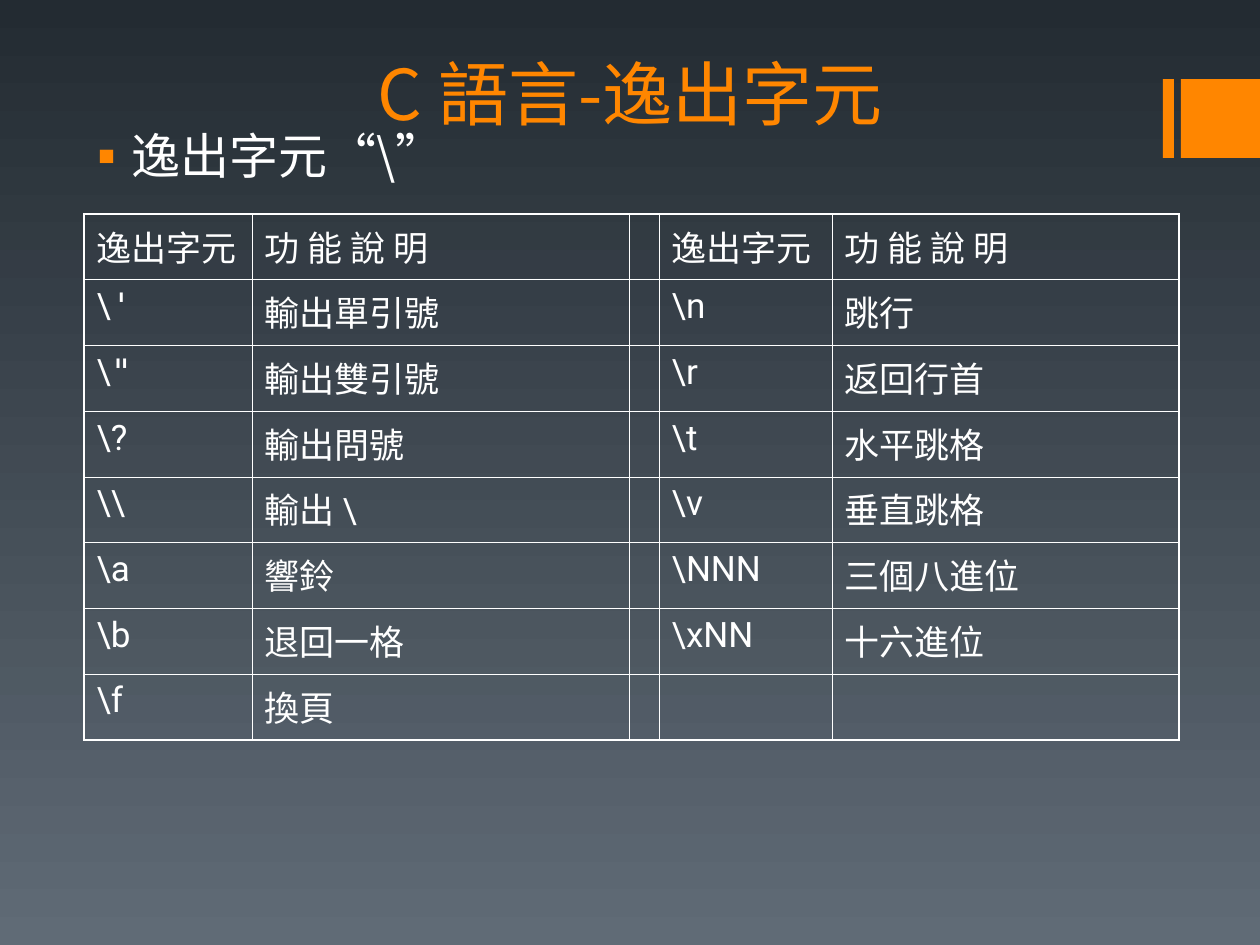
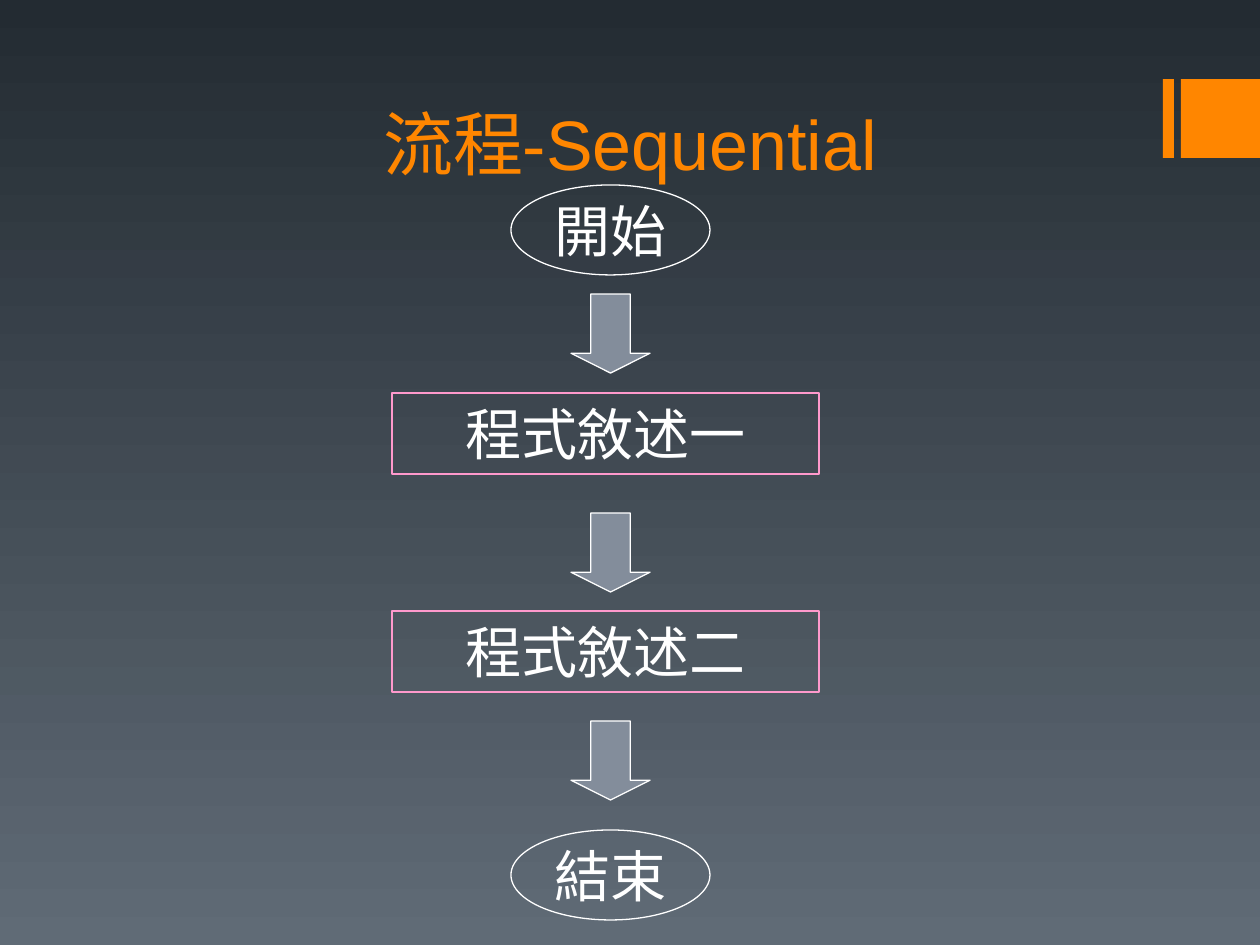
from lxml.etree import SubElement
from pptx import Presentation
from pptx.dml.color import RGBColor
from pptx.enum.shapes import MSO_SHAPE
from pptx.enum.text import MSO_ANCHOR, MSO_AUTO_SIZE, PP_ALIGN
from pptx.oxml.ns import qn
from pptx.util import Pt

THEME = {
    "accent": "FF8600", "text": "FFFFFF", "line": "FFFFFF",
    "arrow": "838D9B", "step_line": "FF99CC",
    "bg": ("232B32", "606B76"),
    "cjk": "Noto Sans CJK SC", "latin": "Roboto",
    "title_latin": "Arial", "mono": "DejaVu Sans Mono",
    "title": 40, "body": 28, "cell": 20, "flow": 32,
    "thin": 0.45, "outer": 1.08, "shape_line": 0.75,
}
BANDS = [(1163, 79, 11, 79), (1181, 79, 79, 79)]

ESCAPE_TITLE = "C 語言-逸出字元"
ESCAPE_BODY = "逸出字元“\\”"
HEADER = ["逸出字元", "功 能 說 明", "", "逸出字元", "功 能 說 明"]
ESCAPES = [
    ["\\'", "輸出單引號", "", "\\n", "跳行"],
    ["\\\"", "輸出雙引號", "", "\\r", "返回行首"],
    ["\\?", "輸出問號", "", "\\t", "水平跳格"],
    ["\\\\", "輸出 \\", "", "\\v", "垂直跳格"],
    ["\\a", "響鈴", "", "\\NNN", "三個八進位"],
    ["\\b", "退回一格", "", "\\xNN", "十六進位"],
    ["\\f", "換頁", "", "", ""],
]
COLUMNS = [168, 377, 30, 173, 347]
TABLE_LEFT, TABLE_TOP, TABLE_HEIGHT = 84, 214, 526

FLOW_TITLE = "流程-Sequential"
FLOW = [
    ("terminal", 185, "開始"), ("arrow", 294, ""),
    ("step", 393, "程式敘述一"), ("arrow", 513, ""),
    ("step", 611, "程式敘述二"), ("arrow", 721, ""),
    ("terminal", 830, "結束"),
]
FLOW_KINDS = {
    "terminal": (MSO_SHAPE.FLOWCHART_CONNECTOR, 511, 199, 90, None, "line"),
    "arrow": (MSO_SHAPE.DOWN_ARROW, 571, 79, 79, "arrow", "line"),
    "step": (MSO_SHAPE.RECTANGLE, 392, 427, 81, None, "step_line"),
}


def px(n):
    return round(n * 914400 / 126)


def rgb(key):
    return RGBColor.from_string(THEME[key])


def apply(obj, values):
    for name, value in values.items():
        setattr(obj, name, value)


def place(sp, left, top, width, height):
    apply(sp, {"left": px(left), "top": px(top),
               "width": px(width), "height": px(height)})


def add_run(p, text, size, color="text", latin="latin"):
    r = p.add_run()
    r.text = text
    apply(r.font, {"size": Pt(THEME[size]), "name": THEME[latin], "bold": False})
    r.font.color.rgb = rgb(color)
    SubElement(r.font._element, qn("a:ea"), typeface=THEME["cjk"])


def add_shape(slide, kind, box, fill=None, line=None):
    sp = slide.shapes.add_shape(kind, *map(px, box))
    sp.shadow.inherit = False
    if fill:
        sp.fill.solid()
        sp.fill.fore_color.rgb = rgb(fill)
    else:
        sp.fill.background()
    if line:
        sp.line.color.rgb = rgb(line)
        sp.line.width = Pt(THEME["shape_line"])
    else:
        sp.line.fill.background()
    return sp


def set_frame(tf, anchor):
    apply(tf, {"vertical_anchor": anchor, "auto_size": MSO_AUTO_SIZE.NONE,
               "word_wrap": True, "margin_top": 0, "margin_bottom": 0})


def set_title(slide, text, top, height, latin):
    sp = slide.shapes.title
    place(sp, 63, top, 1134, height)
    set_frame(sp.text_frame, MSO_ANCHOR.BOTTOM)
    p = sp.text_frame.paragraphs[0]
    p.alignment = PP_ALIGN.CENTER
    add_run(p, text, "title", "accent", latin)


def set_master(prs, slide):
    master = prs.slide_master
    fill = master.background.fill
    fill.gradient()
    fill.gradient_angle = 270
    for stop, position, color in zip(fill.gradient_stops, (0, 1), THEME["bg"]):
        stop.position = position
        stop.color.rgb = RGBColor.from_string(color)
    for i, box in enumerate(BANDS):
        sp = add_shape(slide, MSO_SHAPE.RECTANGLE, box, "accent")
        sp.element.nvSpPr.cNvPr.set("id", str(20 + i))
        master.element.cSld.spTree.insert(2 + i, sp.element)


def set_body(slide):
    sp = slide.placeholders[1]
    place(sp, 63, 125, 1153, 774)
    set_frame(sp.text_frame, MSO_ANCHOR.TOP)
    p = sp.text_frame.paragraphs[0]
    pPr = p._p.get_or_add_pPr()
    pPr.set("marL", str(px(32)))
    pPr.set("indent", str(px(-25)))
    SubElement(SubElement(pPr, qn("a:buClr")), qn("a:srgbClr"), val=THEME["accent"])
    SubElement(pPr, qn("a:buFont"), typeface=THEME["cjk"])
    SubElement(pPr, qn("a:buChar"), char="▪")
    p.space_before = Pt(0)
    add_run(p, ESCAPE_BODY, "body", latin="cjk")


def set_borders(cell, outer_sides):
    tcPr = cell._tc.get_or_add_tcPr()
    for side in "LRTB":
        width = THEME["outer" if side in outer_sides else "thin"]
        ln = SubElement(tcPr, qn("a:ln" + side), w=str(Pt(width)))
        SubElement(SubElement(ln, qn("a:solidFill")), qn("a:srgbClr"), val=THEME["line"])


def add_escape_table(slide):
    rows = [HEADER] + ESCAPES
    box = (TABLE_LEFT, TABLE_TOP, sum(COLUMNS), TABLE_HEIGHT)
    table = slide.shapes.add_table(len(rows), len(COLUMNS), *map(px, box)).table
    apply(table, {"first_row": False, "horz_banding": False})
    for col, width in zip(table.columns, COLUMNS):
        col.width = px(width)
    for i, row in enumerate(rows):
        table.rows[i].height = px(TABLE_HEIGHT / len(rows))
        for j, text in enumerate(row):
            cell = table.cell(i, j)
            edges = {"L": j == 0, "R": j == len(row) - 1,
                     "T": i == 0, "B": i == len(rows) - 1}
            set_borders(cell, [side for side, outer in edges.items() if outer])
            cell.fill.background()
            p = cell.text_frame.paragraphs[0]
            if text[-1:] in ("'", '"') and text:
                add_run(p, text[:-1], "cell")
                add_run(p, text[-1], "cell", latin="mono")
            elif text:
                add_run(p, text, "cell", latin="latin" if i else "cjk")


def add_flow(slide):
    for kind, top, text in FLOW:
        shape, left, width, height, fill, line = FLOW_KINDS[kind]
        sp = add_shape(slide, shape, (left, top, width, height), fill, line)
        if kind == "arrow":
            sp.adjustments[1] = 0.25
            continue
        tf = sp.text_frame
        set_frame(tf, MSO_ANCHOR.MIDDLE)
        tf.word_wrap = kind == "step"
        p = tf.paragraphs[0]
        p.alignment = PP_ALIGN.CENTER
        add_run(p, text, "flow")


def main():
    prs = Presentation()
    apply(prs, {"slide_width": px(1260), "slide_height": px(945)})
    slide = prs.slides.add_slide(prs.slide_layouts[1])
    set_master(prs, slide)
    set_title(slide, ESCAPE_TITLE, 0, 135, "cjk")
    set_body(slide)
    add_escape_table(slide)

    slide = prs.slides.add_slide(prs.slide_layouts[5])
    set_title(slide, FLOW_TITLE, 40, 145, "title_latin")
    add_flow(slide)
    prs.save("out.pptx")


if __name__ == "__main__":
    main()
